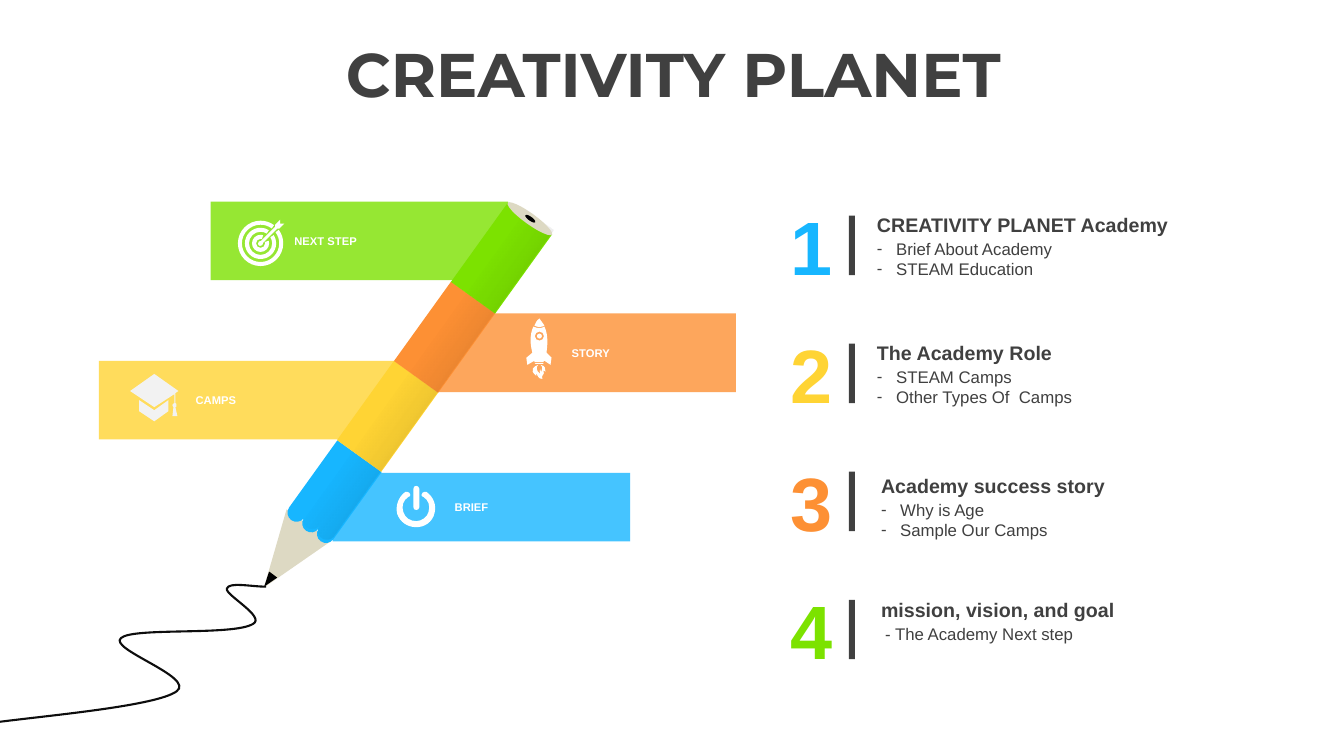
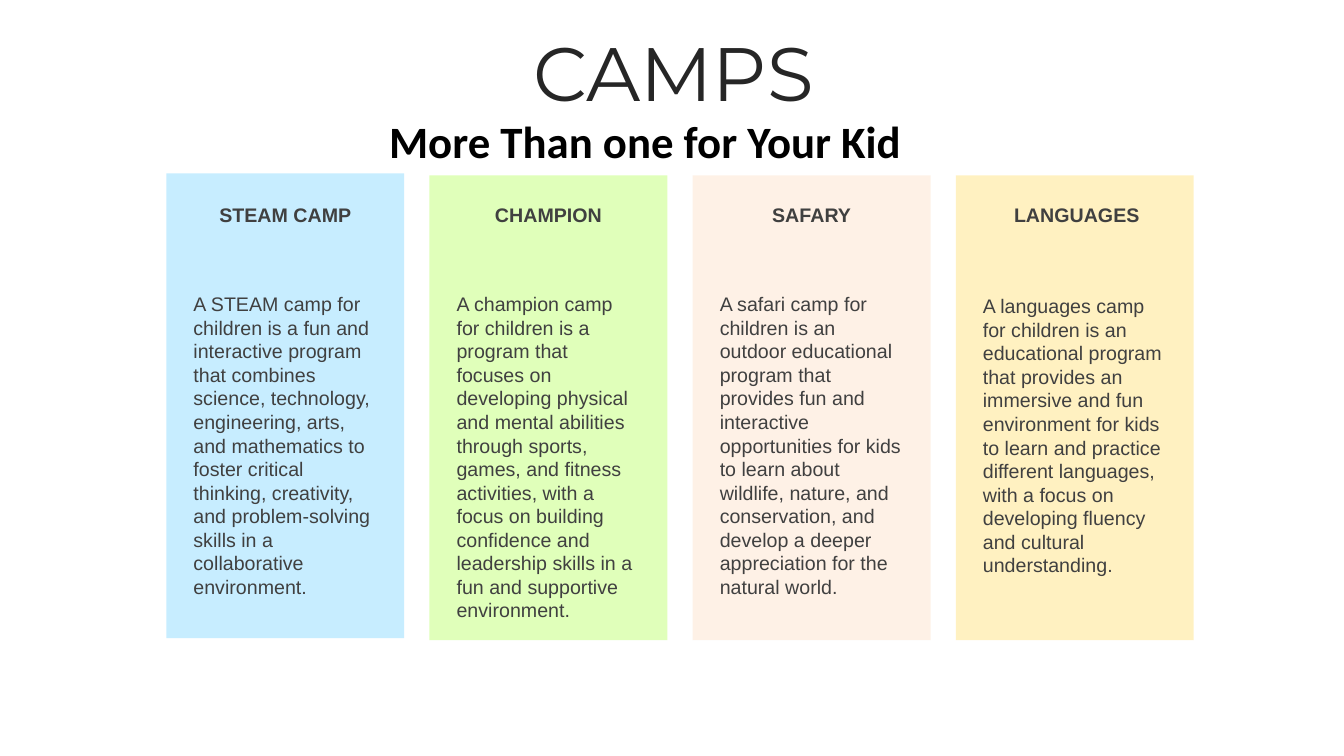
from math import asin, cos, degrees, radians, sin, tan

from lxml.etree import SubElement
from pptx import Presentation
from pptx.dml.color import RGBColor
from pptx.enum.shapes import MSO_SHAPE as Kind
from pptx.enum.text import MSO_ANCHOR as Anchor, MSO_AUTO_SIZE as Fit, PP_ALIGN as Align
from pptx.oxml.ns import qn
from pptx.util import Inches, Pt

# Shared look
HEX = {
    "blue": "17B6FF", "yellow": "FFD434", "orange": "FD9034", "green": "7CE200",
    "grey": "404040", "ink": "262626", "trail": "0D0D0D", "black": "000000",
    "white": "FFFFFF", "pale": "F2F2F2", "wood": "DDD9C3",
    "sky": "A2E2FF", "lime": "CCFF8D", "peach": "FEBC85", "sand": "FFE585",
}
FONT = "Arial"
TILT = 215.7

# Slide 1: colour, text left, heading top, heading, list, dash bullets
TOPICS = [
    ("blue", 8.6, 2.06, "CREATIVITY PLANET Academy",
     ["Brief About Academy", "STEAM Education"], True),
    ("yellow", 8.6, 3.33, "The Academy Role",
     ["STEAM Camps", "Other Types Of  Camps"], True),
    ("orange", 8.64, 4.65, "Academy success story",
     ["Why is Age", "Sample Our Camps"], True),
    ("green", 8.64, 5.88, "mission, vision, and goal",
     ["- The Academy Next step"], False),
]

# Label, colour, left, top, height, label left
BANDS = [
    ("NEXT STEP", "green", 2.09, 2, 0.78, 2.92),
    ("STORY", "orange", 4.35, 3.11, 0.78, 5.67),
    ("CAMPS", "yellow", 0.98, 3.58, 0.78, 1.94),
    ("BRIEF", "blue", 3.3, 4.69, 0.68, 4.51),
]

# Outlines: M starts a contour, L adds corners, C adds Bezier curves
TIP = "M 2.67 5.67, L 2.75 5.73 2.62 5.82"
TRAIL = ("M 2.64 5.82, C 2.49 5.82 2.27 5.77 2.25 5.84 2.23 5.9 2.64 6.12 2.51 6.19 "
         "2.31 6.31 1.32 6.22 1.2 6.33 1.07 6.44 1.95 6.72 1.75 6.86 "
         "1.55 7 0.56 7.09 0 7.16")
CAP = ("M 1.38 3.97, L 1.53 4.07 1.67 3.97 1.67 4.08 1.53 4.18 1.38 4.08,"
       "M 1.53 3.71, L 1.77 3.88 1.74 3.9 1.74 4,"
       "C 1.75 4 1.75 4.01 1.75 4.02 1.75 4.03 1.75 4.04 1.74 4.04,"
       "L 1.76 4.13 1.71 4.13 1.72 4.04,"
       "C 1.72 4.04 1.71 4.03 1.71 4.02 1.71 4.01 1.72 4 1.73 4,"
       "L 1.73 3.91 1.53 4.04 1.29 3.88")
POWER = ("M 4.21 4.88, C 4.22 4.88 4.23 4.88 4.23 4.88 4.3 4.93 4.33 5.01 4.31 5.09 "
         "4.29 5.18 4.21 5.23 4.13 5.23 4.04 5.23 3.97 5.18 3.94 5.1 "
         "3.92 5.02 3.95 4.93 4.02 4.88 4.02 4.88 4.03 4.88 4.04 4.88 "
         "4.05 4.88 4.07 4.89 4.07 4.91 4.07 4.92 4.06 4.93 4.05 4.93 "
         "4 4.96 3.98 5.02 4 5.08 4.02 5.14 4.07 5.17 4.13 5.17 "
         "4.18 5.17 4.24 5.13 4.25 5.08 4.27 5.02 4.25 4.96 4.2 4.93 "
         "4.19 4.93 4.18 4.92 4.18 4.91 4.18 4.89 4.2 4.88 4.21 4.88,"
         "M 4.13 4.82, C 4.14 4.82 4.16 4.83 4.16 4.85, L 4.16 5.03,"
         "C 4.16 5.05 4.14 5.06 4.13 5.06 4.11 5.06 4.1 5.05 4.1 5.03,"
         "L 4.1 4.85, C 4.1 4.83 4.11 4.82 4.13 4.82")
ROCKET = ("M 5.34 3.62, C 5.32 3.63 5.31 3.68 5.36 3.71 5.35 3.69 5.35 3.67 5.36 3.66 "
          "5.36 3.66 5.35 3.68 5.37 3.69 5.36 3.66 5.4 3.65 5.36 3.62 "
          "5.42 3.63 5.4 3.66 5.41 3.69 5.4 3.69 5.39 3.66 5.39 3.68 "
          "5.41 3.72 5.36 3.72 5.38 3.76 5.33 3.76 5.34 3.72 5.32 3.71 "
          "5.31 3.71 5.31 3.71 5.32 3.73 5.24 3.67 5.3 3.63 5.34 3.62,"
          "M 5.3 3.6, L 5.39 3.6 5.39 3.61 5.31 3.61,"
          "M 5.29 3.24, C 5.33 3.26 5.37 3.26 5.4 3.24 5.44 3.33 5.43 3.42 5.42 3.5,"
          "L 5.47 3.55 5.46 3.62 5.4 3.58 5.39 3.59 5.3 3.59 5.3 3.58 5.23 3.62 "
          "5.22 3.55 5.28 3.5, C 5.26 3.42 5.25 3.33 5.29 3.24,"
          "M 5.35 3.16, C 5.37 3.18 5.38 3.21 5.4 3.23 5.37 3.25 5.33 3.25 5.3 3.23 "
          "5.31 3.21 5.32 3.18 5.35 3.16")
DART = ("M 2.78 2.18, L 2.78 2.22 2.82 2.22 2.77 2.27 2.75 2.27 2.61 2.41,"
        "C 2.61 2.43 2.6 2.44 2.58 2.44 2.57 2.44 2.56 2.43 2.56 2.42 "
        "2.56 2.4 2.57 2.39 2.59 2.39, L 2.73 2.25 2.73 2.23")

# Slide 2: name, colour, opacity, card top, name left, text box, text
CAMPS = [
    ("STEAM CAMP", "sky", 60, 1.72, 1.82, (1.82, 2.85, 2.02, 3.16),
     "A STEAM camp for children is a fun and interactive program that combines "
     "science, technology, engineering, arts, and mathematics to foster critical "
     "thinking, creativity, and problem-solving skills in a collaborative environment."),
    ("CHAMPION", "lime", 60, 1.74, 4.43, (4.43, 2.85, 2.02, 3.16),
     "A champion camp for children is a program that focuses on developing physical "
     "and mental abilities through sports, games, and fitness activities, with a focus "
     "on building confidence and leadership skills in a fun and supportive environment."),
    ("SAFARY", "peach", 20, 1.74, 7.04, (7.04, 2.85, 2.02, 3.16),
     "A safari camp for children is an outdoor educational program that provides fun "
     "and interactive opportunities for kids to learn about wildlife, nature, and "
     "conservation, and develop a deeper appreciation for the natural world."),
    ("LANGUAGES", "sand", 50, 1.74, 9.67, (9.65, 2.87, 2.06, 2.93),
     "A languages camp for children is an educational program that provides an "
     "immersive and fun environment for kids to learn and practice different "
     "languages, with a focus on developing fluency and cultural understanding."),
]


def rgb(name):
    return RGBColor.from_string(HEX[name])


def style(para, size, color, bold=False, face=FONT):
    font = para.font
    font.size, font.bold, font.name = Pt(size), bold, face
    font.color.rgb = rgb(color)


def fade(shape, *alphas):
    for tag, alpha in zip(shape.element.spPr.iter(qn("a:srgbClr")), alphas):
        SubElement(tag, qn("a:alpha")).set("val", str(alpha * 1000))


def paint(shape, color, alpha=100, turn=0):
    shape.shadow.inherit = False
    shape.line.fill.background()
    shape.fill.solid()
    shape.fill.fore_color.rgb = rgb(color)
    if alpha < 100:
        fade(shape, alpha)
    shape.rotation = turn
    return shape


def block(slide, kind, box, color, alpha=100, turn=0):
    return paint(slide.shapes.add_shape(kind, *map(Inches, box)), color, alpha, turn)


def write(slide, box, lines, size, color="grey", bold=False, face=FONT,
          align=Align.LEFT, anchor=Anchor.TOP, pads=(0.1, 0.05, 0.1, 0.05)):
    frame = slide.shapes.add_textbox(*map(Inches, box)).text_frame
    frame.word_wrap, frame.vertical_anchor = True, anchor
    (frame.margin_left, frame.margin_top,
     frame.margin_right, frame.margin_bottom) = map(Inches, pads)
    frame.text = "\n".join(lines)
    for para in frame.paragraphs:
        para.alignment = align
        style(para, size, color, bold, face)
    return frame.paragraphs


def indent(para, left, dash):
    props = para._p.get_or_add_pPr()
    props.set("marL", str(Inches(left)))
    if dash:
        props.set("indent", str(-Inches(left)))
        face = SubElement(props, qn("a:buFont"))
        face.set("typeface", FONT)
        face.addnext(props.makeelement(qn("a:buChar"), {"char": "-"}))


def start(deck, text, size, color, bold):
    slide = deck.slides.add_slide(deck.slide_layouts[5])
    title = slide.shapes.title
    title.left, title.top, title.width, title.height = map(
        Inches, (0.35, 0.37, 12.66, 0.79))
    frame = title.text_frame
    frame.text, frame.auto_size = text, Fit.NONE
    frame.vertical_anchor = Anchor.MIDDLE
    para = frame.paragraphs[0]
    para.alignment, para.line_spacing, para.space_before = Align.CENTER, 0.9, Pt(10)
    style(para, size, color, bold, "Montserrat")
    return slide


# Outline geometry: a step is one corner, or three points of a curve
def arc(x, y, r, begin, end):
    low, high = sorted((begin, end))
    stops = [low, *(q for q in range(0, 450, 90) if low < q < high), high]
    turns = [radians(stop) for stop in (stops if begin < end else stops[::-1])]
    steps = [((x + r * cos(turns[0]), y - r * sin(turns[0])),)]
    for a, b in zip(turns, turns[1:]):
        k = 4 / 3 * tan((b - a) / 4)
        steps.append(((x + r * (cos(a) - k * sin(a)), y - r * (sin(a) + k * cos(a))),
                      (x + r * (cos(b) + k * sin(b)), y - r * (sin(b) - k * cos(b))),
                      (x + r * cos(b), y - r * sin(b))))
    return steps


def trace(text):
    loops = []
    for part in text.split(","):
        key, *nums = part.split()
        nums = list(map(float, nums))
        dots = list(zip(nums[::2], nums[1::2]))
        if key == "M":
            loops.append([])
        size = 3 if key == "C" else 1
        loops[-1] += [tuple(dots[k:k + size]) for k in range(0, len(dots), size)]
    return loops


def draw(slide, loops, close=True):
    pen = None
    for loop in loops:
        first, *rest = [tuple(map(Inches, dot)) for step in loop for dot in step]
        if pen is None:
            pen = slide.shapes.build_freeform(*first, scale=1.0)
        else:
            pen.move_to(*first)
        pen.add_line_segments(rest, close=close)
    shape = pen.convert_to_shape()
    # Join each run of three points into a Bezier curve
    lines = iter(list(shape.element.spPr.iter(qn("a:lnTo"))))
    for step in (step for loop in loops for step in loop[1:]):
        run = [next(lines) for _ in step]
        if len(run) == 3:
            curve = run[0].makeelement(qn("a:cubicBezTo"))
            run[0].addprevious(curve)
            for line in run:
                curve.append(line[0])
                line.getparent().remove(line)
    return shape


def sleeve(slide, left, top, high, wide=0.54):
    """Pencil barrel with three scallops at one end."""
    r = wide / 6
    edge = [step for k in (1, 3, 5) for step in arc(left + k * r, top + r, r, 180, 0)]
    foot = [((left + wide, top + high),), ((left, top + high),)]
    return draw(slide, [edge + foot])


def pencil(slide):
    block(slide, Kind.ISOSCELES_TRIANGLE, (2.57, 5.14, 0.54, 0.76), "wood", turn=TILT)
    paint(sleeve(slide, 3.03, 4.44, 0.91), "blue", turn=TILT)
    for k, color in enumerate(("yellow", "orange", "green")):
        box = (3.36 + 0.565 * k, 3.86 - 0.785 * k, 0.97, 0.54)
        block(slide, Kind.RECTANGLE, box, color, turn=TILT + 90)
    paint(draw(slide, trace(TIP)), "black")
    shade = paint(sleeve(slide, 3.89, 1.77, 3.82), "black", turn=TILT)
    shade.fill.gradient()
    shade.fill.gradient_angle = 180
    for stop, place in zip(shade.fill.gradient_stops, (0.48, 1)):
        stop.color.rgb, stop.position = rgb("black"), place
    fade(shade, 0, 39)
    block(slide, Kind.OVAL, (5.2, 1.9, 0.11, 0.54), "wood", turn=TILT + 90)
    block(slide, Kind.OVAL, (5.24, 2.11, 0.04, 0.12), "black", turn=TILT + 90)


def icons(slide):
    paint(draw(slide, trace(POWER)), "white")
    trail = draw(slide, trace(TRAIL), close=False)
    trail.shadow.inherit = False
    trail.fill.background()
    trail.line.color.rgb, trail.line.width = rgb("trail"), Pt(1.5)
    paint(draw(slide, trace(CAP)), "pale")
    port = [arc(5.35, 3.335, r, 0, 360) for r in (0.045, 0.025)]
    paint(draw(slide, trace(ROCKET) + port), "white")
    # Target: rings left open where the dart enters
    rings = []
    for r in (0.065, 0.135, 0.205):
        gap = degrees(asin(0.03 / r))
        ends = 45 + gap, 405 - gap
        rings.append(arc(2.585, 2.415, r + 0.02, *ends)
                     + arc(2.585, 2.415, r - 0.02, *ends[::-1]))
    paint(draw(slide, rings + trace(DART)), "white")


def agenda(deck):
    slide = start(deck, "CREATIVITY PLANET", 44, "grey", True)
    for k, (color, left, top, head, items, dash) in enumerate(TOPICS):
        drop = 1.27 * k
        write(slide, (7.84, 1.98 + drop, 0.47, 0.91), [str(k + 1)], 54, color, True,
              anchor=Anchor.MIDDLE, pads=(0, 0, 0, 0))
        write(slide, (left, top, 3.76, 0.34), [head], 14, bold=True,
              anchor=Anchor.MIDDLE)
        for para in write(slide, (left, top + 0.26, 3.76, 0.5), items, 12):
            indent(para, 0.19 if dash else 0.04, dash)
        block(slide, Kind.RECTANGLE, (8.42, 2.14 + drop, 0.06, 0.59), "grey")
    for _, color, left, top, high, _ in BANDS:
        block(slide, Kind.RECTANGLE, (left, top, 2.95, high), color, 80)
    pencil(slide)
    for label, _, _, top, high, left in BANDS:
        write(slide, (left, top + high / 2 - 0.12, 1.5, 0.24), [label], 8, "white", True,
              anchor=Anchor.MIDDLE, pads=(0, 0.05, 0.1, 0.05))
    icons(slide)


def camps(deck):
    slide = start(deck, "CAMPS", 54, "ink", False)
    for k, (name, color, alpha, top, left, box, text) in enumerate(CAMPS):
        card = (1.65 + 2.61 * k, top, 2.36, 4.61)
        block(slide, Kind.RECTANGLE, card, color, alpha)
        write(slide, (left, 1.96, 2.02, 0.34), [name], 14, bold=True, align=Align.CENTER)
        write(slide, box, [text], 14)
    write(slide, (3.76, 1.08, 7.21, 0.64), ["More Than one for Your Kid"], 32, "black",
          True, "Calibri")


def main():
    deck = Presentation()
    deck.slide_width, deck.slide_height = Inches(13.33), Inches(7.5)
    agenda(deck)
    camps(deck)
    deck.save("out.pptx")


if __name__ == "__main__":
    main()
